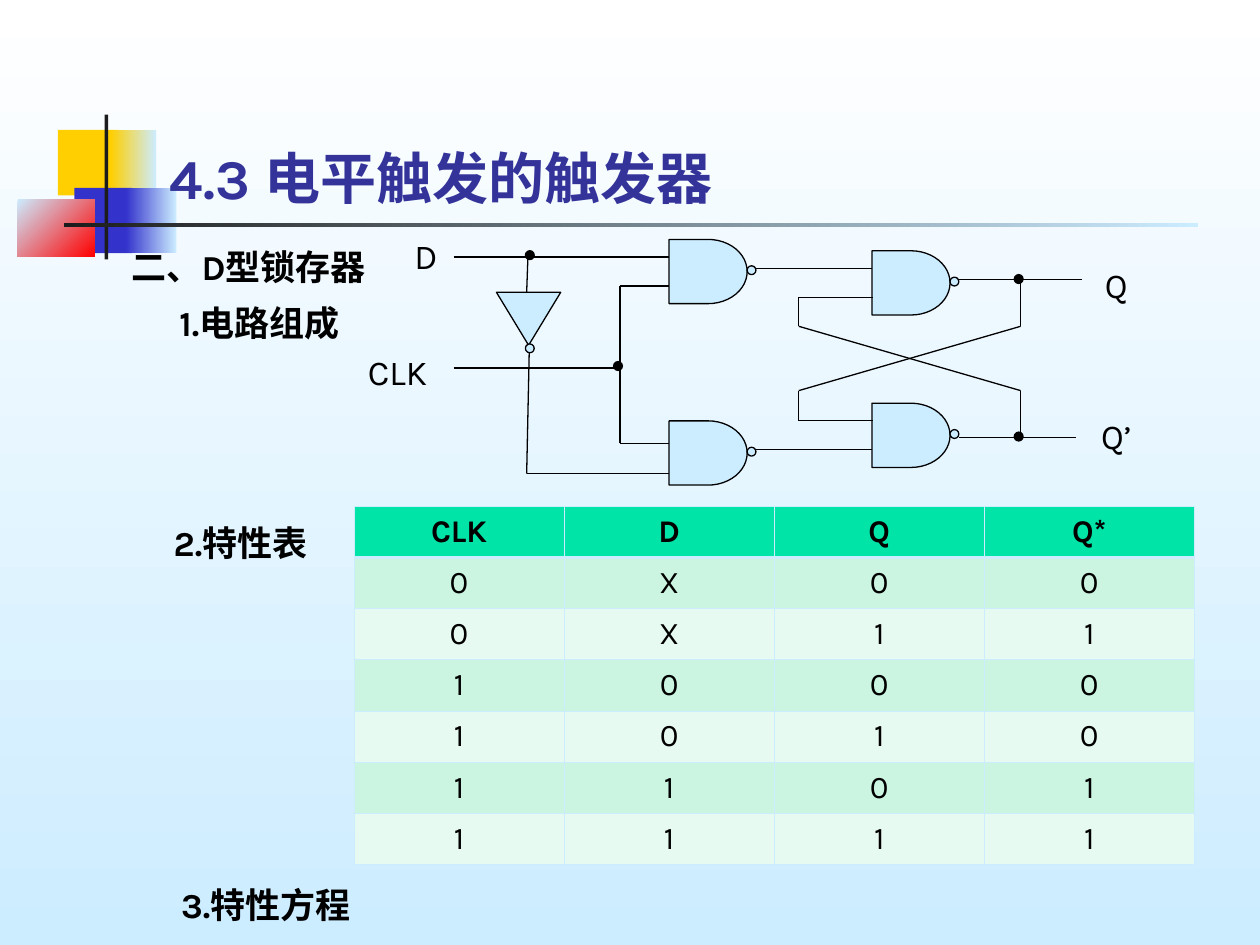
import itertools

import lxml.etree
import pptx
import pptx.dml.color
import pptx.enum.shapes
import pptx.enum.text
import pptx.oxml.ns
import pptx.util

Inches = pptx.util.Inches
Pt = pptx.util.Pt
RGBColor = pptx.dml.color.RGBColor
SHAPE = pptx.enum.shapes.MSO_SHAPE
ALIGN = pptx.enum.text.PP_ALIGN
ANCHOR = pptx.enum.text.MSO_ANCHOR
qn = pptx.oxml.ns.qn

FONT = "Karla"
WHITE = RGBColor(0xFF, 0xFF, 0xFF)
BLACK = RGBColor(0x00, 0x00, 0x00)
SKY = RGBColor(0xCC, 0xEC, 0xFF)
YELLOW = RGBColor(0xFF, 0xCF, 0x01)
BLUE = RGBColor(0x33, 0x33, 0xCC)
RED = RGBColor(0xFF, 0x00, 0x00)
CHARCOAL = RGBColor(0x1C, 0x1C, 0x1C)
INDIGO = RGBColor(0x33, 0x33, 0x99)
HEADER = RGBColor(0x00, 0xE4, 0xA8)
BANDS = (RGBColor(0xE7, 0xFA, 0xF1), RGBColor(0xCB, 0xF5, 0xE1))

ORNAMENT = [
    (0.32, 0.12, 0.48, 0.52, YELLOW, None, 0),
    (0.74, 0.12, 0.36, 0.52, YELLOW, SKY, 0),
    (0.45, 0.58, 0.46, 0.52, BLUE, None, 0),
    (0.86, 0.58, 0.40, 0.52, BLUE, SKY, 0),
    (0.00, 0.67, 0.61, 0.46, SKY, RED, 315),
    (0.69, 0.00, 0.03, 1.15, CHARCOAL, None, 0),
    (0.37, 0.86, 9.00, 0.03, CHARCOAL, SKY, 0),
]
HEADINGS = [
    (0.87, 1.90, 2.21, "二、D型锁存器"),
    (1.25, 2.34, 1.62, "1.电路组成"),
    (1.24, 4.09, 1.34, "2.特性表"),
    (1.30, 6.96, 1.62, "3.特性方程"),
]
TRUTH_TABLE = ["CLK D Q Q*", "0 X 0 0", "0 X 1 1", "1 0 0 0",
               "1 0 1 0", "1 1 0 1", "1 1 1 1"]
GATES = [(2.51, 0.10), (4.12, 0.19), (2.51, 1.54), (4.12, 1.40)]
WIRES = [
    [(0.80, 0.24), (2.51, 0.24)],
    [(0.80, 1.12), (2.12, 1.12)],
    [(2.51, 0.47), (2.12, 0.47), (2.12, 1.72), (2.51, 1.72)],
    [(1.39, 0.24), (1.38, 0.52)],
    [(1.40, 1.00), (1.38, 1.96), (2.51, 1.96)],
    [(3.19, 0.33), (4.12, 0.33)],
    [(3.19, 1.77), (4.12, 1.77)],
    [(4.81, 0.42), (5.79, 0.42)],
    [(4.81, 1.67), (5.74, 1.67)],
    [(5.30, 0.42), (5.30, 0.79), (3.54, 1.30), (3.54, 1.54), (4.13, 1.54)],
    [(5.30, 1.67), (5.30, 1.30), (3.54, 0.79), (3.54, 0.56), (4.13, 0.56)],
]
JUNCTIONS = [(1.37, 0.19), (5.25, 0.38), (2.07, 1.07), (5.25, 1.63)]
SIGNALS = [(0.31, 0.01, 0.54, "D"), (0.01, 0.93, 0.69, "CLK"),
           (5.79, 0.24, 0.54, "Q"), (5.79, 1.44, 0.54, "Q’")]


def paint_gradient(fill, start, end, angle):
    """Fill with a two-colour gradient."""
    fill.gradient()
    fill.gradient_angle = angle
    for stop, color in zip(fill.gradient_stops, (start, end)):
        stop.color.rgb = color


def style_para(para, size, color=BLACK, bold=False, align=ALIGN.CENTER):
    """Set the font and alignment of one paragraph."""
    para.alignment = align
    para.font.name = FONT
    para.font.size = Pt(size)
    para.font.bold = bold
    para.font.color.rgb = color


def add_label(shapes, left, top, width, text, bold=False):
    """Add a centred one-line label."""
    box = shapes.add_textbox(left, top, width, Inches(0.44))
    box.text_frame.word_wrap = False
    box.text_frame.text = text
    style_para(box.text_frame.paragraphs[0], 20, bold=bold)


def add_symbol(shapes, kind, left, top, width, height, color=SKY):
    """Add one outlined circuit symbol."""
    symbol = shapes.add_shape(kind, left, top, width, height)
    symbol.shadow.inherit = False
    symbol.fill.solid()
    symbol.fill.fore_color.rgb = color
    symbol.line.color.rgb = BLACK
    symbol.line.width = Pt(0.75)
    return symbol


def add_ornament(page, left, top):
    """Draw the coloured blocks and rules beside the title."""
    for x, y, width, height, start, end, angle in ORNAMENT:
        block = page.shapes.add_shape(
            SHAPE.RECTANGLE, left + Inches(x), top + Inches(y),
            Inches(width), Inches(height))
        block.shadow.inherit = False
        block.line.fill.background()
        if end is None:
            block.fill.solid()
            block.fill.fore_color.rgb = start
        else:
            paint_gradient(block.fill, start, end, angle)


def add_title(page, left, top, width, height):
    """Place the slide title at the bottom of its box."""
    box = page.shapes.add_textbox(left, top, width, height)
    box.text_frame.word_wrap = True
    box.text_frame.vertical_anchor = ANCHOR.BOTTOM
    box.text_frame.text = "4.3 电平触发的触发器"
    style_para(box.text_frame.paragraphs[0], 32, INDIGO, True, ALIGN.LEFT)


def add_headings(page, left, top):
    """Place the section headings."""
    for x, y, width, text in HEADINGS:
        add_label(page.shapes, left + Inches(x), top + Inches(y),
                  Inches(width), text, bold=True)


def add_border(cell, side, width):
    """Give one side of a table cell a border."""
    line = lxml.etree.SubElement(cell._tc.get_or_add_tcPr(), qn(f"a:ln{side}"),
                                 w=str(Pt(width)))
    fill = lxml.etree.SubElement(line, qn("a:solidFill"))
    lxml.etree.SubElement(fill, qn("a:srgbClr"), val=str(SKY))


def add_truth_table(page, left, top, width, height):
    """Fill the characteristic table."""
    rows = [line.split() for line in TRUTH_TABLE]
    table = page.shapes.add_table(
        len(rows), len(rows[0]), left, top, width, height).table
    table.horz_banding = False
    for i, row in enumerate(rows):
        for j, text in enumerate(row):
            cell = table.cell(i, j)
            for side in "LRTB":
                under_header = (i, side) in ((0, "B"), (1, "T"))
                add_border(cell, side, 1.5 if under_header else 0.45)
            cell.fill.solid()
            cell.fill.fore_color.rgb = BANDS[i % 2] if i else HEADER
            cell.vertical_anchor = ANCHOR.MIDDLE
            cell.text = text
            style_para(cell.text_frame.paragraphs[0], 18, bold=i == 0)


def add_circuit(page, left, top):
    """Draw the D latch with its gates, wires and signal names."""
    shapes = page.shapes.add_group_shape().shapes
    dot = Inches(0.07)
    inverter = add_symbol(shapes, SHAPE.ISOSCELES_TRIANGLE, left + Inches(1.14),
                          top + Inches(0.52), Inches(0.51), Inches(0.42))
    inverter.rotation = 180
    for x, y in GATES:
        add_symbol(shapes, SHAPE.FLOWCHART_DELAY, left + Inches(x),
                   top + Inches(y), Inches(0.62), Inches(0.51))
    for wire in WIRES:
        for (x1, y1), (x2, y2) in itertools.pairwise(wire):
            line = shapes.add_connector(
                pptx.enum.shapes.MSO_CONNECTOR.STRAIGHT,
                left + Inches(x1), top + Inches(y1),
                left + Inches(x2), top + Inches(y2))
            line.line.color.rgb = BLACK
            line.line.width = Pt(0.75)
            lxml.etree.SubElement(line._element.spPr, qn("a:effectLst"))
    bubbles = [(1.37, 0.93)] + [(x + 0.62, y + 0.21) for x, y in GATES]
    for points, color in ((bubbles, SKY), (JUNCTIONS, BLACK)):
        for x, y in points:
            add_symbol(shapes, SHAPE.OVAL, left + Inches(x), top + Inches(y),
                       dot, dot, color)
    for x, y, width, text in SIGNALS:
        add_label(shapes, left + Inches(x), top + Inches(y), Inches(width), text)


def main():
    """Build the slide and save it."""
    deck = pptx.Presentation()
    deck.slide_width, deck.slide_height = Inches(10), Inches(7.5)
    page = deck.slides.add_slide(deck.slide_layouts[6])
    paint_gradient(page.background.fill, WHITE, SKY, 270)
    add_ornament(page, Inches(0.14), Inches(0.91))
    add_title(page, Inches(1.25), Inches(0.92), Inches(7.88), Inches(0.8))
    add_headings(page, Inches(0), Inches(0))
    add_truth_table(page, Inches(2.81), Inches(4.02), Inches(6.67), Inches(2.84))
    add_circuit(page, Inches(2.8), Inches(1.8))
    deck.save("out.pptx")


if __name__ == "__main__":
    main()
